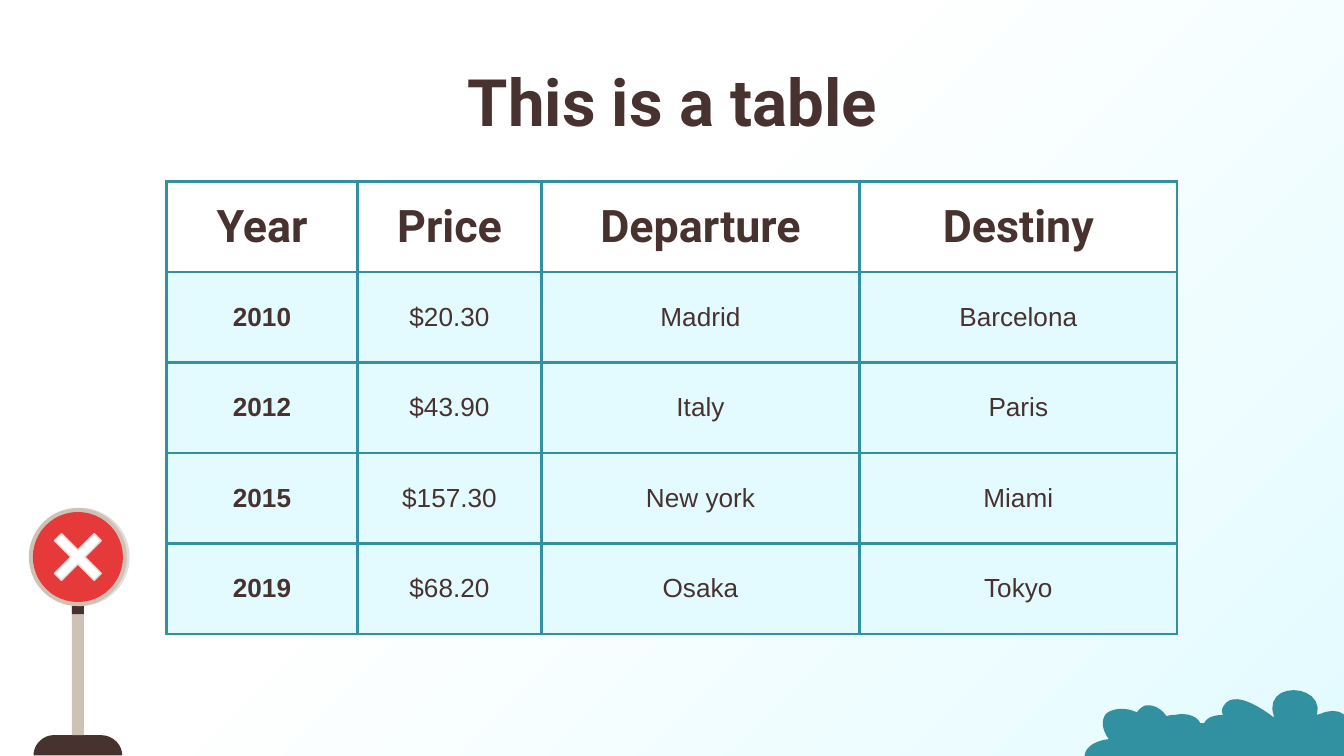
from copy import deepcopy
from dataclasses import dataclass
from typing import NamedTuple

from lxml.etree import SubElement
from pptx import Presentation
from pptx.dml.color import RGBColor
from pptx.enum.shapes import MSO_SHAPE as Preset
from pptx.enum.text import MSO_ANCHOR as Anchor, PP_ALIGN as Align
from pptx.oxml.ns import qn
from pptx.util import Inches, Pt


@dataclass(frozen=True)
class Theme:
    brown: RGBColor = RGBColor.from_string("47322F")
    teal: RGBColor = RGBColor.from_string("3191A0")
    pale: RGBColor = RGBColor.from_string("E3FBFF")
    white: RGBColor = RGBColor.from_string("FFFFFF")
    beige: RGBColor = RGBColor.from_string("CEC2B6")
    shade: RGBColor = RGBColor.from_string("E5DDD9")
    red: RGBColor = RGBColor.from_string("E53A39")
    heading_font: str = "Roboto"
    body_font: str = "Arial"
    title_size: int = 35
    header_size: int = 24
    body_size: int = 14
    border: float = 1.5


class Part(NamedTuple):
    preset: Preset
    center: float
    top: float
    width: float
    height: float
    color: RGBColor
    adjustments: tuple = ()
    outline: RGBColor | None = None


class Curve(NamedTuple):
    first_control: tuple[float, float]
    second_control: tuple[float, float]
    end: tuple[float, float]


class Outline(NamedTuple):
    start: tuple[float, float]
    curves: tuple[Curve, ...]
    color: RGBColor


THEME = Theme()
SLIDE_WIDTH = Inches(10)
SLIDE_HEIGHT = SLIDE_WIDTH * 9 // 16
MARGINS = dict.fromkeys(("margin_left", "margin_top", "margin_right", "margin_bottom"), Inches(0.1))
TITLE_FORMAT = {"name": THEME.heading_font, "size": Pt(THEME.title_size), "bold": True}
HEADER_FORMAT = {"name": THEME.heading_font, "size": Pt(THEME.header_size), "bold": True}
BODY_FORMAT = {"name": THEME.body_font, "size": Pt(THEME.body_size), "bold": False}
YEAR_FORMAT = BODY_FORMAT | {"bold": True}

TABLE_WIDTH, TABLE_HEIGHT = 7.52, 3.37
YEAR_WIDTH, PRICE_WIDTH = 1.42, 1.37
CITY_WIDTH = (TABLE_WIDTH - YEAR_WIDTH - PRICE_WIDTH) / 2
COLUMN_WIDTHS = (YEAR_WIDTH, PRICE_WIDTH, CITY_WIDTH, CITY_WIDTH)
ROWS = (
    ("Year", "Price", "Departure", "Destiny"),
    ("2010", "$20.30", "Madrid", "Barcelona"),
    ("2012", "$43.90", "Italy", "Paris"),
    ("2015", "$157.30", "New york", "Miami"),
    ("2019", "$68.20", "Osaka", "Tokyo"),
)

SIGN = (
    Part(Preset.RECTANGLE, 0.58, 4.32, 0.09, 1.15, THEME.beige),
    Part(Preset.RECTANGLE, 0.58, 4.51, 0.09, 0.06, THEME.brown),
    Part(Preset.OVAL, 0.6, 3.78, 0.73, 0.73, THEME.shade),
    Part(Preset.OVAL, 0.58, 3.78, 0.73, 0.73, THEME.beige),
    Part(Preset.OVAL, 0.58, 3.81, 0.67, 0.67, THEME.red),
    Part(Preset.MATH_MULTIPLY, 0.58, 3.86, 0.57, 0.57, THEME.white, (0.13,), THEME.shade),
)

SIGN_BASE = Outline((0.25, 5.62), (
    Curve((0.25, 5.54), (0.32, 5.47), (0.4, 5.47)),
    Curve((0.4, 5.47), (0.75, 5.47), (0.75, 5.47)),
    Curve((0.84, 5.47), (0.91, 5.54), (0.91, 5.62)),
), THEME.brown)

BUSH = Outline((8.07, 5.63), (
    Curve((8.07, 5.56), (8.15, 5.51), (8.25, 5.5)),
    Curve((8.2, 5.43), (8.19, 5.36), (8.23, 5.31)),
    Curve((8.28, 5.27), (8.37, 5.26), (8.46, 5.3)),
    Curve((8.48, 5.27), (8.5, 5.26), (8.52, 5.25)),
    Curve((8.58, 5.24), (8.64, 5.27), (8.68, 5.33)),
    Curve((8.7, 5.32), (8.72, 5.32), (8.74, 5.32)),
    Curve((8.83, 5.3), (8.91, 5.33), (8.93, 5.38)),
    Curve((8.93, 5.38), (8.96, 5.38), (8.96, 5.38)),
    Curve((8.98, 5.34), (9.03, 5.32), (9.1, 5.32)),
    Curve((9.09, 5.3), (9.09, 5.28), (9.1, 5.26)),
    Curve((9.17, 5.12), (9.39, 5.27), (9.48, 5.34)),
    Curve((9.38, 5.06), (9.86, 5.08), (9.8, 5.32)),
    Curve((10.08, 5.19), (10.1, 5.51), (10, 5.63)),
), THEME.teal)


def set_values(target, values: dict) -> None:
    for name, value in values.items():
        setattr(target, name, value)


def write_text(frame, text: str, font_format: dict) -> None:
    frame.text = text
    paragraph = frame.paragraphs[0]
    paragraph.alignment = Align.CENTER
    font = paragraph.runs[0].font
    set_values(font, font_format)
    font.color.rgb = THEME.brown


def paint(shape, color: RGBColor, outline: RGBColor | None = None) -> None:
    shape.shadow.inherit = False
    shape.fill.solid()
    shape.fill.fore_color.rgb = color
    if outline is None:
        shape.line.fill.background()
    else:
        shape.line.color.rgb = outline
        shape.line.width = Pt(0.75)


def draw_background(slide) -> None:
    fill = slide.background.fill
    fill.gradient()
    fill.gradient_angle = 315
    first_stop = next(slide.element.iter(qn("a:gs")))
    first_stop.addnext(deepcopy(first_stop))
    stops = ((0, THEME.white), (0.41, THEME.white), (1, THEME.pale))
    for stop, (position, color) in zip(fill.gradient_stops, stops):
        stop.position = position
        stop.color.rgb = color


def draw_title(slide, text: str) -> None:
    title = slide.shapes.title
    set_values(title, {"left": Inches(0.79), "top": Inches(0.37),
                       "width": Inches(8.43), "height": Inches(0.75)})
    set_values(title.text_frame, MARGINS | {"vertical_anchor": Anchor.MIDDLE, "word_wrap": True})
    write_text(title.text_frame, text, TITLE_FORMAT)


def add_borders(cell) -> None:
    properties = cell._tc.get_or_add_tcPr()
    for side in ("lnL", "lnR", "lnT", "lnB"):
        line = SubElement(properties, qn(f"a:{side}"), w=str(Pt(THEME.border)))
        SubElement(SubElement(line, qn("a:solidFill")), qn("a:srgbClr"), val=str(THEME.teal))


def draw_table(slide) -> None:
    table = slide.shapes.add_table(
        len(ROWS), len(COLUMN_WIDTHS), Inches(1.24), Inches(1.35),
        Inches(TABLE_WIDTH), Inches(TABLE_HEIGHT)).table
    set_values(table, {"first_row": False, "horz_banding": False})
    for column, width in zip(table.columns, COLUMN_WIDTHS):
        column.width = Inches(width)
    for row_index, (row, texts) in enumerate(zip(table.rows, ROWS)):
        for column_index, (cell, text) in enumerate(zip(row.cells, texts)):
            add_borders(cell)
            set_values(cell, MARGINS | {"vertical_anchor": Anchor.MIDDLE})
            cell.fill.solid()
            cell.fill.fore_color.rgb = THEME.pale if row_index else THEME.white
            row_format = BODY_FORMAT if column_index else YEAR_FORMAT
            write_text(cell.text_frame, text, row_format if row_index else HEADER_FORMAT)


def curve_points(start: tuple[float, float], curve: Curve, steps: int = 12) -> list:
    points = []
    for step in range(1, steps + 1):
        t = step / steps
        weights = ((1 - t) ** 3, 3 * t * (1 - t) ** 2, 3 * t ** 2 * (1 - t), t ** 3)
        points.append(tuple(
            Inches(sum(weight * value for weight, value in zip(weights, values)))
            for values in zip(start, *curve)))
    return points


def draw_outline(shapes, outline: Outline) -> None:
    builder = shapes.build_freeform(*map(Inches, outline.start))
    starts = (outline.start, *(curve.end for curve in outline.curves))
    for start, curve in zip(starts, outline.curves):
        builder.add_line_segments(curve_points(start, curve), close=curve is outline.curves[-1])
    paint(builder.convert_to_shape(), outline.color)


def draw_part(shapes, part: Part) -> None:
    left = part.center - part.width / 2
    shape = shapes.add_shape(part.preset, *map(Inches, (left, part.top, part.width, part.height)))
    for index, value in enumerate(part.adjustments):
        shape.adjustments[index] = value
    paint(shape, part.color, part.outline)


def main() -> None:
    presentation = Presentation()
    set_values(presentation, {"slide_width": SLIDE_WIDTH, "slide_height": SLIDE_HEIGHT})
    slide = presentation.slides.add_slide(presentation.slide_layouts[5])
    draw_background(slide)
    draw_title(slide, "This is a table")
    draw_table(slide)
    draw_outline(slide.shapes, BUSH)
    sign = slide.shapes.add_group_shape()
    draw_outline(sign.shapes, SIGN_BASE)
    for part in SIGN:
        draw_part(sign.shapes, part)
    presentation.save("out.pptx")


if __name__ == "__main__":
    main()
